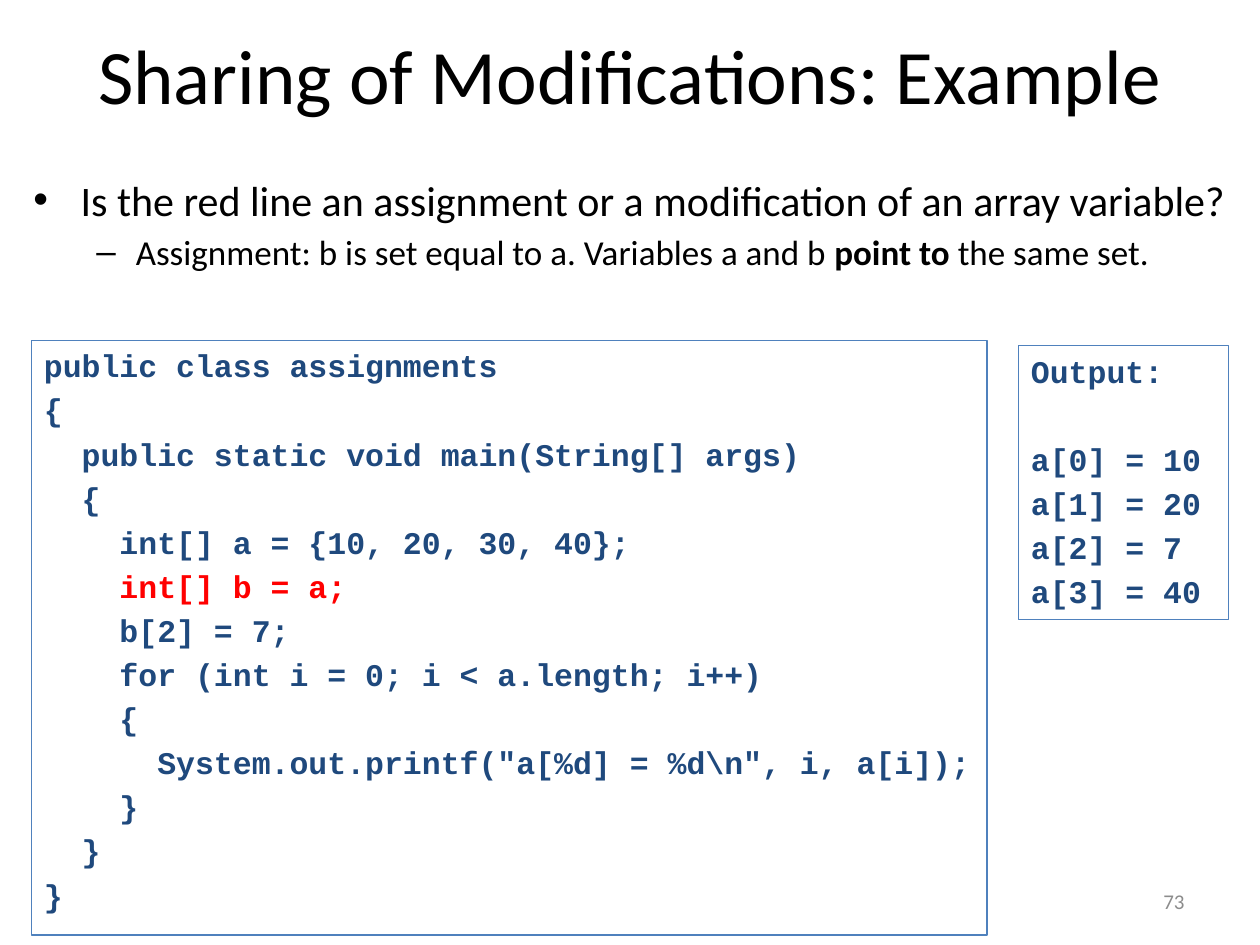
from lxml.etree import SubElement
from pptx import Presentation
from pptx.dml.color import RGBColor
from pptx.enum.shapes import MSO_SHAPE
from pptx.enum.text import MSO_ANCHOR, PP_ALIGN
from pptx.oxml.ns import qn
from pptx.util import Pt

BLACK = RGBColor(0x00, 0x00, 0x00)
GRAY = RGBColor(0x8C, 0x8C, 0x8C)
NAVY = RGBColor(0x1F, 0x49, 0x7D)
BLUE = RGBColor(0x4F, 0x81, 0xBD)
RED = RGBColor(0xFF, 0x00, 0x00)

LINE_GAP = 3.6
BLANK_LINE = 24.8

CODE = """public class assignments
{
  public static void main(String[] args)
  {
    int[] a = {10, 20, 30, 40};
    int[] b = a;
    b[2] = 7;
    for (int i = 0; i < a.length; i++)
    {
      System.out.printf("a[%d] = %d\\n", i, a[i]);
    }
  }
}""".splitlines()
RED_LINE = "    int[] b = a;"
OUTPUT = ["Output:", "a[0] = 10", "a[1] = 20", "a[2] = 7", "a[3] = 40"]


def add_span(para, text, size=18, font="Calibri", color=BLACK, bold=False):
    span = para.add_run()
    span.text = text
    span.font.size = Pt(size)
    span.font.name = font
    span.font.color.rgb = color
    span.font.bold = bold


def next_paragraph(frame, index, gap=LINE_GAP):
    """Return the first paragraph, or a new one with space before it."""
    if index == 0:
        return frame.paragraphs[0]
    para = frame.add_paragraph()
    para.space_before = Pt(gap)
    return para


def add_text_box(page, left, top, width, height):
    box = page.shapes.add_textbox(Pt(left), Pt(top), Pt(width), Pt(height))
    box.text_frame.word_wrap = True
    return box


def set_bullet(para, symbol, level, margin, hanging):
    para.level = level
    properties = para._p.get_or_add_pPr()
    properties.set("marL", str(Pt(margin)))
    properties.set("indent", str(-Pt(hanging)))
    SubElement(properties, qn("a:buFont")).set("typeface", "Arial")
    SubElement(properties, qn("a:buChar")).set("char", symbol)


def set_title(page, text):
    title = page.shapes.title
    title.left, title.top = Pt(36), Pt(6)
    title.width, title.height = Pt(648), Pt(72)
    title.text_frame.vertical_anchor = MSO_ANCHOR.MIDDLE
    para = title.text_frame.paragraphs[0]
    para.alignment = PP_ALIGN.CENTER
    add_span(para, text, size=44)


def add_bullets(page):
    frame = add_text_box(page, 12, 96, 702, 374.4).text_frame

    question = next_paragraph(frame, 0)
    set_bullet(question, "•", level=0, margin=27, hanging=27)
    add_span(question, "Is the red line an assignment or a modification "
                       "of an array variable?", size=24)

    answer = next_paragraph(frame, 1)
    set_bullet(answer, "–", level=1, margin=58.5, hanging=22.5)
    add_span(answer, "Assignment: b is set equal to a. Variables a and b ", size=20)
    add_span(answer, "point to ", size=20, bold=True)
    add_span(answer, "the same set.", size=20)


def add_code_box(page, left, top, width, height, lines, heading_gap=0):
    """Draw an outlined box of code; heading_gap goes below its first line."""
    box = page.shapes.add_shape(
        MSO_SHAPE.RECTANGLE, Pt(left), Pt(top), Pt(width), Pt(height))
    box.shadow.inherit = False
    box.fill.background()
    box.line.color.rgb = BLUE
    box.line.width = Pt(0.75)
    frame = box.text_frame
    frame.word_wrap = True
    frame.vertical_anchor = MSO_ANCHOR.TOP
    frame.margin_top, frame.margin_bottom = Pt(3.6), Pt(0)
    for index, line in enumerate(lines):
        gap = LINE_GAP + (heading_gap if index == 1 else 0)
        para = next_paragraph(frame, index, gap)
        para.alignment = PP_ALIGN.LEFT
        color = RED if line == RED_LINE else NAVY
        add_span(para, line, font="Courier New", color=color, bold=True)


def add_page_number(page, number):
    frame = add_text_box(page, 516, 500.5, 168, 28.8).text_frame
    frame.vertical_anchor = MSO_ANCHOR.MIDDLE
    para = frame.paragraphs[0]
    para.alignment = PP_ALIGN.RIGHT
    add_span(para, number, size=12, color=GRAY)


def main():
    deck = Presentation()
    deck.slide_width, deck.slide_height = Pt(720), Pt(540)
    page = deck.slides.add_slide(deck.slide_layouts[5])

    # Heading and question
    set_title(page, "Sharing of Modifications: Example")
    add_bullets(page)
    add_page_number(page, "73")

    # Program and what it prints
    add_code_box(page, 18, 194.4, 546, 340, CODE)
    add_code_box(page, 582, 197.6, 120, 156.4, OUTPUT, heading_gap=BLANK_LINE)

    deck.save("out.pptx")


if __name__ == "__main__":
    main()
